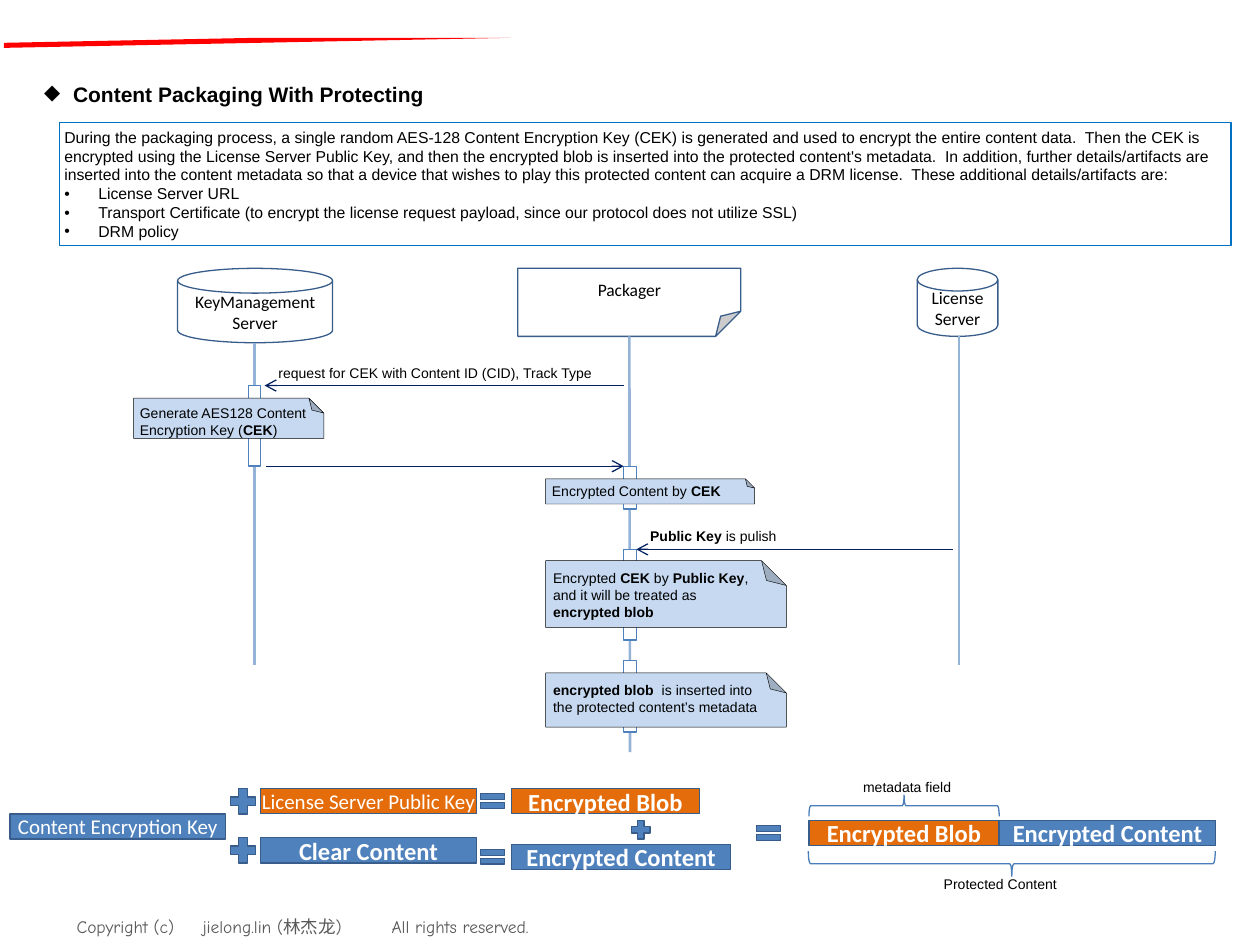
from lxml import etree
from pptx import Presentation
from pptx import util as u
from pptx.dml.color import RGBColor
from pptx.enum import shapes, text
from pptx.oxml.ns import qn

WHITE = RGBColor(0xFF, 0xFF, 0xFF)
BLACK = RGBColor(0x00, 0x00, 0x00)
GREY = RGBColor(0x59, 0x59, 0x59)
RED = RGBColor(0xFF, 0x00, 0x00)
FRAME = RGBColor(0x00, 0x70, 0xC0)
BLUE = RGBColor(0x4F, 0x81, 0xBD)
EDGE = RGBColor(0x38, 0x5D, 0x8A)
BRACE = RGBColor(0x4A, 0x7E, 0xBB)
LIFE = RGBColor(0x95, 0xB3, 0xD7)
NAVY = RGBColor(0x00, 0x20, 0x60)
PALE = RGBColor(0xC6, 0xD9, 0xF1)
ORANGE = RGBColor(0xE4, 0x6C, 0x0A)

KIND = shapes.MSO_SHAPE
ALIGN = text.PP_ALIGN
ANCHOR = text.MSO_ANCHOR

INTRO = (
    "During the packaging process, a single random AES-128 Content Encryption Key (CEK) is generated "
    "and used to encrypt the entire content data.  Then the CEK is encrypted using the License Server "
    "Public Key, and then the encrypted blob is inserted into the protected content's metadata.  "
    "In addition, further details/artifacts are inserted into the content metadata so that a device "
    "that wishes to play this protected content can acquire a DRM license.  "
    "These additional details/artifacts are:"
)
ITEMS = [
    "License Server URL",
    "Transport Certificate (to encrypt the license request payload, since our protocol does not utilize SSL)",
    "DRM policy",
]


def inches(nums):
    return [u.Inches(n) for n in nums]


def put(frame, words, size=8, face="Arial", color=BLACK, bold=False, align=ALIGN.LEFT,
        anchor=ANCHOR.TOP, pad=(0, 0, 0, 0), bullet=None, hang=0, first=0, tabs=()):
    """Fill a frame; ** toggles bold, and bullets start at paragraph number first."""
    frame.word_wrap = True
    frame.auto_size = text.MSO_AUTO_SIZE.NONE
    frame.vertical_anchor = anchor
    (frame.margin_left, frame.margin_top,
     frame.margin_right, frame.margin_bottom) = inches(pad)
    for i, line in enumerate(words.split("\n")):
        para = frame.paragraphs[0] if i == 0 else frame.add_paragraph()
        para.alignment = align
        para.space_before = u.Pt(0)
        props = para._p.get_or_add_pPr()
        marked = bullet and i >= first
        props.set("marL", str(u.Inches(hang if marked else 0)))
        props.set("indent", str(u.Inches(-hang if marked else 0)))
        if marked:
            etree.SubElement(props, qn("a:buChar"), char=bullet)
        else:
            etree.SubElement(props, qn("a:buNone"))
        if tabs:
            stops = etree.SubElement(props, qn("a:tabLst"))
            for stop in tabs:
                etree.SubElement(stops, qn("a:tab"), pos=str(u.Inches(stop)), algn="l")
        for j, part in enumerate(line.split("**")):
            if part:
                run = para.add_run()
                run.text = part
                font = run.font
                font.size, font.name = u.Pt(size), face
                font.bold = bold or j % 2 == 1
                font.color.rgb = color


class Board:
    def __init__(self, slide):
        self.slide = slide
        self.shapes = slide.shapes

    def paint(self, shape, fill=None, line=None, width=0.75):
        if fill is None:
            shape.fill.background()
        else:
            shape.fill.solid()
            shape.fill.fore_color.rgb = fill
        if line is None:
            shape.line.fill.background()
        else:
            shape.line.color.rgb = line
            shape.line.width = u.Pt(width)

    def holder(self, index, box, words, **style):
        shape = self.slide.placeholders[index]
        shape.left, shape.top, shape.width, shape.height = inches(box)
        put(shape.text_frame, words, **style)
        return shape

    def shape(self, kind, box, fill=None, line=EDGE, width=0.75, adj=None, turn=0, home=None):
        shape = (home or self).shapes.add_shape(kind, *inches(box))
        shape.shadow.inherit = False
        self.paint(shape, fill, line, width)
        if adj is not None:
            guides = shape._element.spPr.find(qn("a:prstGeom")).find(qn("a:avLst"))
            for old in list(guides):
                guides.remove(old)
            etree.SubElement(guides, qn("a:gd"), name="adj", fmla=f"val {round(adj * 100000)}")
        shape.rotation = turn
        return shape

    def label(self, box, words, home=None, **style):
        put((home or self).shapes.add_textbox(*inches(box)).text_frame, words, **style)

    def actor(self, kind, box, words, adj=None):
        shape = self.shape(kind, box, WHITE, adj=adj)
        put(shape.text_frame, words, size=10, face="Calibri", align=ALIGN.CENTER,
            anchor=ANCHOR.MIDDLE, pad=(0.1, 0.05, 0.1, 0.05))
        return shape

    def line(self, start, end, color=NAVY, width=0.75, head=True):
        line = self.shapes.add_connector(shapes.MSO_CONNECTOR.STRAIGHT, *inches(start + end))
        line.line.color.rgb = color
        line.line.width = u.Pt(width)
        props = line._element.spPr
        if head:
            etree.SubElement(props.find(qn("a:ln")), qn("a:tailEnd"), type="arrow")
        etree.SubElement(props, qn("a:effectLst"))
        return line

    def note(self, box, inner, words):
        group = self.shapes.add_group_shape()
        fold = self.shape(KIND.FOLDED_CORNER, box, PALE, BLACK, 0.25, 0.37, 180, group)
        fold._element.spPr.get_or_add_xfrm().set("flipH", "1")
        self.label(inner, words, group)

    def block(self, left, top, wide, words, fill=BLUE, size=14):
        shape = self.shape(KIND.RECTANGLE, (left, top, wide, 0.2), fill)
        pad = (0.1, 0.05, 0.1, 0.05) if size == 14 else (0, 0, 0, 0)
        put(shape.text_frame, words, size=size, face="Calibri", color=WHITE, bold=size == 14,
            align=ALIGN.CENTER, anchor=ANCHOR.MIDDLE, pad=pad)

    def plus(self, left, top, side=0.2):
        self.shape(KIND.CROSS, (left, top, side, side), BLUE, adj=0.33)

    def equal(self, left, top):
        self.shape(KIND.MATH_EQUAL, (left, top, 0.26, 0.2), BLUE)

    def wedge(self, points, fill):
        start, *rest = [tuple(inches(p)) for p in points]
        outline = self.shapes.build_freeform(*start)
        outline.add_line_segments(rest, close=True)
        shape = outline.convert_to_shape()
        shape.shadow.inherit = False
        self.paint(shape, fill)


def main():
    deck = Presentation()
    deck.slide_width, deck.slide_height = inches((10, 7.5))
    board = Board(deck.slides.add_slide(deck.slide_layouts[1]))

    board.label((0.51, 7.22, 4.33, 0.27), "Copyright (c)\tjielong.lin (林杰龙)\tAll rights reserved.",
                size=10, face="Comic Neue", color=GREY, pad=(0.1, 0.05, 0, 0.05), tabs=(1.04, 2.49))
    board.wedge([(0.03, 0.34), (2.04, 0.3), (4.05, 0.3), (0.03, 0.38)], RED)
    board.holder(0, (0.35, 0.65, 7.58, 0.2), "Content Packaging With Protecting",
                 size=12, bold=True, bullet="◆", hang=0.23)
    body = board.holder(1, (0.47, 0.97, 9.3, 0.98), "\n".join([INTRO, *ITEMS]), size=9,
                        pad=(0.04,) * 4, bullet="•", hang=0.27, first=1)
    board.paint(body, WHITE, FRAME)

    packer = board.actor(KIND.FOLDED_CORNER, (4.11, 2.13, 1.77, 0.54), "Packager", 0.37)
    board.actor(KIND.FLOWCHART_MAGNETIC_DISK, (1.41, 2.13, 1.23, 0.59), "KeyManagement\nServer")
    board.actor(KIND.FLOWCHART_MAGNETIC_DISK, (7.28, 2.13, 0.64, 0.54), "License Server")
    board.line((2.02, 2.72), (2.02, 5.28), LIFE, 1.5, False)
    board.line((5, 2.67), (5, 5.97), LIFE, 1.5, False).begin_connect(packer, 2)
    board.line((7.61, 2.67), (7.61, 5.28), LIFE, 1.5, False)

    for left, top, tall in [(1.97, 3.06, 0.64), (4.95, 3.7, 0.34), (4.95, 4.36, 0.72), (4.95, 5.24, 0.57)]:
        board.shape(KIND.RECTANGLE, (left, top, 0.1, tall), WHITE, BLUE)
    for start, end, level in [(4.95, 2.1, 3.06), (2.11, 4.95, 3.7), (7.56, 5.05, 4.36)]:
        board.line((start, level), (end, level))
    board.label((2.21, 2.89, 2.54, 0.17), "request for CEK with Content ID (CID), Track Type")
    board.label((5.16, 4.19, 1.86, 0.17), "**Public Key** is pulish")

    board.note((1.06, 3.16, 1.51, 0.32), (1.11, 3.21, 1.38, 0.27),
               "Generate AES128 Content\nEncryption Key (**CEK**)")
    board.note((4.33, 3.8, 1.66, 0.2), (4.38, 3.83, 1.52, 0.13), "Encrypted Content by **CEK**")
    board.note((4.33, 4.45, 1.91, 0.53), (4.39, 4.52, 1.74, 0.4),
               "Encrypted **CEK** by **Public Key**,\nand it will be treated as\n**encrypted blob**")
    board.note((4.33, 5.34, 1.91, 0.43), (4.39, 5.41, 1.74, 0.27),
               "**encrypted blob**  is inserted into\nthe protected content’s metadata")

    board.block(0.08, 6.46, 1.71, "Content Encryption Key", size=12)
    board.block(2.07, 6.26, 1.71, "License Server Public Key", ORANGE, 12)
    board.block(2.07, 6.65, 1.71, "Clear Content")
    board.block(4.06, 6.26, 1.49, "Encrypted Blob", ORANGE)
    board.block(4.06, 6.7, 1.74, "Encrypted Content")
    board.block(6.42, 6.51, 1.51, "Encrypted Blob", ORANGE)
    board.block(7.93, 6.51, 1.72, "Encrypted Content")
    for spot in [(1.83, 6.26), (1.83, 6.65), (5.01, 6.51, 0.15)]:
        board.plus(*spot)
    for spot in [(3.78, 6.26), (3.78, 6.7), (5.97, 6.51)]:
        board.equal(*spot)

    board.shape(KIND.LEFT_BRACE, (7.09, 5.64, 0.17, 1.51), line=BRACE, turn=90)
    board.label((6.85, 6.18, 0.76, 0.13), "metadata field")
    board.shape(KIND.RIGHT_BRACE, (7.93, 5.24, 0.2, 3.23), line=BRACE, turn=90)
    board.label((7.49, 6.95, 1, 0.13), "Protected Content")

    deck.save("out.pptx")


if __name__ == "__main__":
    main()
